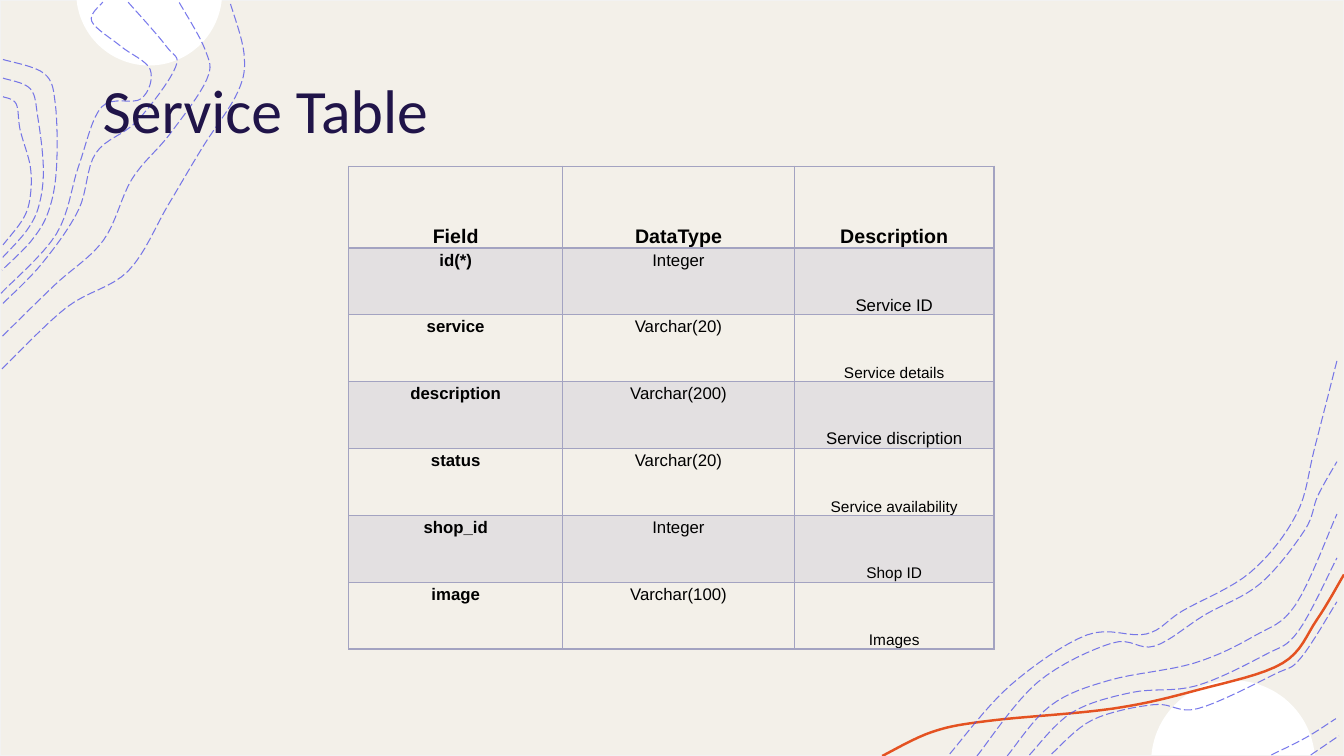
import math

from lxml import etree
from pptx import Presentation
from pptx import util as u
from pptx.dml.color import RGBColor
from pptx.enum import dml, shapes, text
from pptx.oxml.ns import qn

PX = u.Inches(1) // 100  # 100 px to the inch
WIDTH, HEIGHT = 1333, 750

CREAM = RGBColor(0xF3, 0xF0, 0xE9)
EDGE = RGBColor(0xF2, 0xF2, 0xF2)
WHITE = RGBColor(0xFF, 0xFF, 0xFF)
ORANGE = RGBColor(0xE4, 0x52, 0x21)
VIOLET = RGBColor(0x4D, 0x4E, 0xE6)
NAVY = RGBColor(0x20, 0x14, 0x49)
BLACK = RGBColor(0x00, 0x00, 0x00)
LILAC = RGBColor(0xA3, 0xA3, 0xC1)

TITLE = "Service Table"
TITLE_BOX = (92, 40, 1150, 145)
HEADER = ["Field", "DataType", "Description"]
# field, data type, description, size of the description in points
FIELDS = [
    ("id(*)", "Integer", "Service ID", 12),
    ("service", "Varchar(20)", "Service details", 11),
    ("description", "Varchar(200)", "Service discription", 12),
    ("status", "Varchar(20)", "Service availability", 11),
    ("shop_id", "Integer", "Shop ID", 11),
    ("image", "Varchar(100)", "Images", 11),
]
TABLE_BOX = (346, 165, 640, 479)
COLUMNS = [212, 230, 198]
HEADER_HEIGHT = 81

# middle, flat side, half width, depth (negative rises from the flat side)
CAPS = [(148, 0, 72, 65), (1223, 749, 81, -74)]
ORANGE_CURVE = [(875, 750), (925, 726), (982, 715), (1104, 703), (1190, 684),
                (1272, 658), (1306, 615), (1333, 570)]
# families of contours: first line, last line, number of lines
CONTOURS = [
    ([(2, 366), (66, 305), (127, 269), (167, 203), (201, 146), (236, 91), (242, 53),
      (228, 2)],
     [(3, 301), (42, 261), (78, 208), (95, 152), (136, 120), (174, 67), (165, 46),
      (127, 2)], 3),
    ([(1, 291), (56, 232), (78, 165), (101, 106), (140, 98), (149, 69), (120, 46),
      (91, 21), (102, 2)], [], 1),
    ([(3, 59), (44, 73), (55, 104), (56, 168), (48, 210), (31, 239), (2, 268)],
     [(3, 96), (16, 103), (20, 129), (30, 165), (30, 195), (23, 217), (3, 243)], 3),
    ([(942, 748), (1002, 680), (1078, 630), (1137, 629), (1173, 606), (1240, 568),
      (1286, 510), (1304, 444), (1326, 358)],
     [(969, 750), (1029, 677), (1103, 638), (1145, 641), (1195, 610), (1250, 579),
      (1294, 526), (1307, 492), (1326, 458)], 2),
    ([(1043, 748), (1084, 714), (1145, 699), (1188, 703), (1264, 669), (1290, 653),
      (1326, 597)],
     [(999, 750), (1042, 700), (1100, 675), (1184, 658), (1244, 631), (1285, 600),
      (1326, 510)], 3),
    ([(1300, 749), (1328, 730)], [], 1),
    ([(1261, 749), (1295, 732), (1325, 713)], [], 1),
]


def emu(*lengths):
    return [round(n * PX) for n in lengths]


def assign(obj, **values):
    for name, value in values.items():
        setattr(obj, name, value)


def family(first, last, count):
    """Lines spaced evenly from the first to the last."""
    if count == 1:
        return [first]
    return [[(x + (z - x) * i / (count - 1), y + (w - y) * i / (count - 1))
             for (x, y), (z, w) in zip(first, last)] for i in range(count)]


def smooth(knots, steps=8):
    """Points of a Catmull-Rom curve through the knots."""
    k = [knots[0], *knots, knots[-1]]
    points = [knots[0]]
    for a, b, c, d in zip(k, k[1:], k[2:], k[3:]):
        for i in range(1, steps + 1):
            t = i / steps
            points.append(tuple(
                q + t / 2 * (s - p + t * (2*p - 5*q + 4*s - v + t * (3*q - p - 3*s + v)))
                for p, q, s, v in zip(a, b, c, d)))
    return points


def cap(middle, flat, half, depth, steps=48):
    """Points of the circular segment standing on a flat side."""
    radius = (half ** 2 + depth ** 2) / (2 * abs(depth))
    sign = math.copysign(1, depth)
    reach = math.acos(1 - abs(depth) / radius)
    angles = [reach * (2 * i / steps - 1) for i in range(steps + 1)]
    return [(middle + radius * math.sin(a),
             flat + depth + sign * radius * (math.cos(a) - 1)) for a in angles]


def outline(slide, points, close=False):
    points = [emu(*point) for point in points]
    builder = slide.shapes.build_freeform(*points[0])
    builder.add_line_segments(points[1:], close=close)
    sp = builder.convert_to_shape()
    sp.shadow.inherit = False
    return sp


def stroke(slide, knots, color, width):
    sp = outline(slide, smooth(knots))
    sp.fill.background()
    sp.line.color.rgb = color
    sp.line.width = u.Pt(width)
    return sp


def set_alpha(element, percent):
    color = element.find(".//" + qn("a:srgbClr"))
    etree.SubElement(color, qn("a:alpha"), val=str(percent * 1000))


def set_borders(cell, **widths):
    tc_pr = cell._tc.get_or_add_tcPr()
    for i, side in enumerate("LRTB"):
        ln = etree.Element(qn("a:ln" + side), w=str(u.Pt(widths.get(side, 1))))
        fill = etree.SubElement(ln, qn("a:solidFill"))
        etree.SubElement(fill, qn("a:srgbClr"), val=str(LILAC))
        tc_pr.insert(i, ln)


def fill_cell(cell, words, size, bold, low, shaded):
    anchor = text.MSO_ANCHOR.BOTTOM if low else text.MSO_ANCHOR.TOP
    side = 7 * PX
    assign(cell, vertical_anchor=anchor, margin_left=side, margin_right=side,
           margin_top=0, margin_bottom=0)
    p = cell.text_frame.paragraphs[0]
    assign(p, alignment=text.PP_ALIGN.CENTER, line_spacing=1.15, space_after=u.Pt(10))
    r = p.add_run()
    r.text = words
    assign(r.font, name="Arial", size=u.Pt(size), bold=bold)
    r.font.color.rgb = BLACK
    if shaded:
        cell.fill.solid()
        cell.fill.fore_color.rgb = LILAC
        set_alpha(cell._tc.tcPr, 20)
    else:
        cell.fill.background()


def add_backdrop(slide):
    sp = slide.shapes.add_shape(shapes.MSO_SHAPE.RECTANGLE, 0, 0, *emu(WIDTH, HEIGHT))
    sp.shadow.inherit = False
    sp.fill.solid()
    sp.fill.fore_color.rgb = CREAM
    sp.line.color.rgb = EDGE
    sp.line.width = u.Pt(1)
    for segment in CAPS:
        sp = outline(slide, cap(*segment), close=True)
        sp.fill.solid()
        sp.fill.fore_color.rgb = WHITE
        sp.line.fill.background()
    stroke(slide, ORANGE_CURVE, ORANGE, 1.75)
    for lines in CONTOURS:
        for knots in family(*lines):
            sp = stroke(slide, knots, VIOLET, 0.75)
            sp.line.dash_style = dml.MSO_LINE.LONG_DASH
            set_alpha(sp._element.spPr, 75)


def add_title(slide):
    tf = slide.shapes.add_textbox(*emu(*TITLE_BOX)).text_frame
    assign(tf, word_wrap=True, vertical_anchor=text.MSO_ANCHOR.MIDDLE)
    p = tf.paragraphs[0]
    p.line_spacing = 0.9
    r = p.add_run()
    r.text = TITLE
    assign(r.font, name="Calibri", size=u.Pt(44))
    r.font.color.rgb = NAVY


def add_field_table(slide):
    rows = len(FIELDS) + 1
    table = slide.shapes.add_table(rows, len(COLUMNS), *emu(*TABLE_BOX)).table
    assign(table, first_row=False, horz_banding=False)
    for column, width in zip(table.columns, COLUMNS):
        column.width = width * PX
    row_height = (TABLE_BOX[3] - HEADER_HEIGHT) / len(FIELDS)
    for i, row in enumerate(table.rows):
        row.height, = emu(row_height if i else HEADER_HEIGHT)
    for j, words in enumerate(HEADER):
        fill_cell(table.cell(0, j), words, 14, True, True, False)
        set_borders(table.cell(0, j), B=2)
    for i, (*words, last_size) in enumerate(FIELDS, 1):
        for j, (word, size) in enumerate(zip(words, (12, 12, last_size))):
            fill_cell(table.cell(i, j), word, size, j == 0, j == 2, i % 2 == 1)
            set_borders(table.cell(i, j), T=2 if i == 1 else 1)


prs = Presentation()
prs.slide_width, prs.slide_height = emu(WIDTH, HEIGHT)
slide = prs.slides.add_slide(prs.slide_layouts[6])
add_backdrop(slide)
add_title(slide)
add_field_table(slide)
prs.save("out.pptx")
